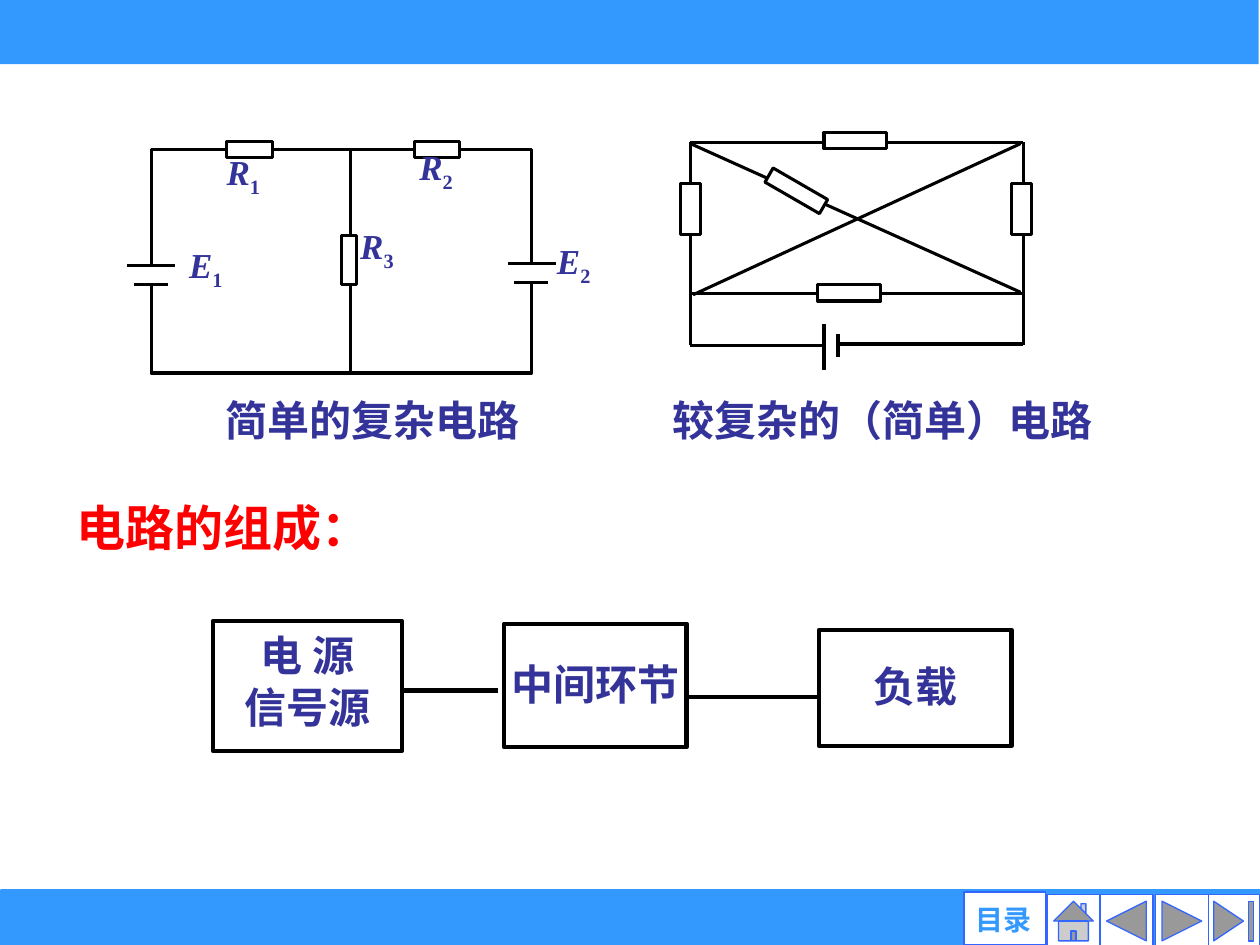
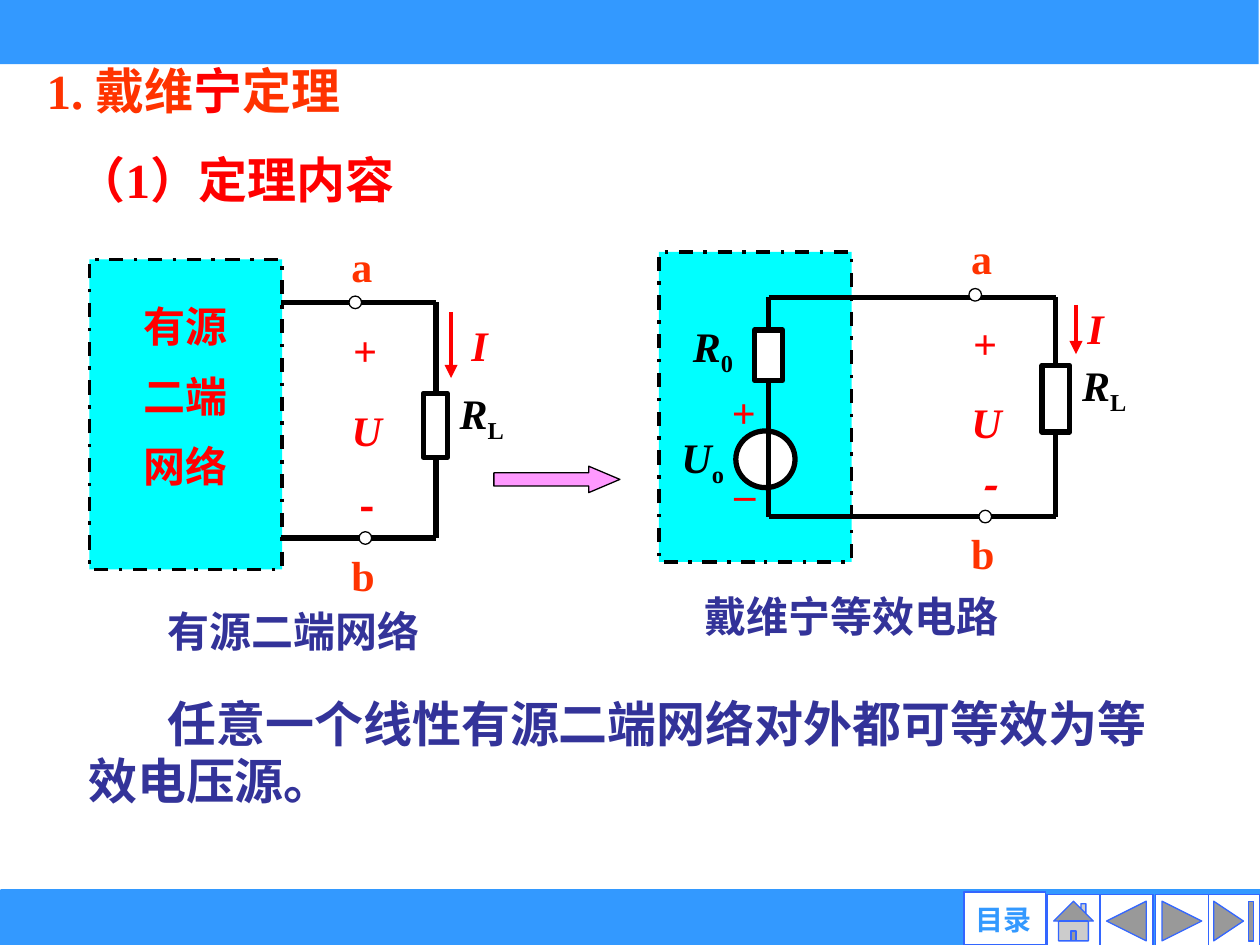
from dataclasses import dataclass

from lxml import etree
from pptx import Presentation
from pptx import util as u
from pptx.dml.color import RGBColor
from pptx.enum import dml, shapes, text
from pptx.oxml.ns import qn

PX = 9144
NAVY, RED, ORANGE = "333399", "FF0000", "FF3300"
BLUE, BUTTON_BLUE, CYAN, PINK = "3399FF", "3366FF", "00FFFF", "FF99FF"
BLACK, WHITE = "000000", "FFFFFF"
SERIF, SANS = "Times New Roman", "Noto Sans CJK SC"
KIND = shapes.MSO_SHAPE
LEFT, CENTER = text.PP_ALIGN.LEFT, text.PP_ALIGN.CENTER
TOP, MIDDLE = text.MSO_ANCHOR.TOP, text.MSO_ANCHOR.MIDDLE


def px(length):
    """Turn px (100 to the inch) into EMU."""
    return u.Emu(length * PX)


def color(value):
    """Turn a hex string into a colour."""
    return RGBColor.from_string(value)


def format_run(run, size, ink, font=SERIF, italic=False, subscript=False):
    """Give a run its bold style and fonts."""
    run.font.size, run.font.bold, run.font.italic = u.Pt(size), True, italic
    run.font.name = font
    run.font.color.rgb = color(ink)
    properties = run._r.get_or_add_rPr()
    if subscript:
        properties.set("baseline", "-25000")
    etree.SubElement(properties, qn("a:ea")).set("typeface", SANS)


def write(shape, content, size, ink, font=SERIF, italic=False, subscript="",
          align=LEFT, anchor=TOP, inset=(10, 5, 10, 5), leading=1.18):
    """Write text into a shape, one paragraph a line."""
    frame = shape.text_frame
    frame.text = content
    frame.word_wrap = True
    frame.auto_size = text.MSO_AUTO_SIZE.NONE
    frame.vertical_anchor = anchor
    frame.margin_left, frame.margin_top, frame.margin_right, frame.margin_bottom = map(px, inset)
    for paragraph in frame.paragraphs:
        paragraph.alignment = align
        paragraph.space_before = u.Pt(0)
        paragraph.line_spacing = u.Pt(round(size * leading))
        for run in paragraph.runs:
            format_run(run, size, ink, font, italic)
    if subscript:
        run = frame.paragraphs[0].add_run()
        run.text = subscript
        format_run(run, size, ink, font, subscript=True)


def move(shape, left, top, width, height):
    """Place a shape by its px box."""
    shape.left, shape.top, shape.width, shape.height = map(px, (left, top, width, height))


@dataclass
class Region:
    """A part of a slide with its own origin in px."""

    slide: object
    left: int = 0
    top: int = 0

    def place(self, left, top):
        """Return a point in EMU on the slide."""
        return px(self.left + left), px(self.top + top)

    def shape(self, box, kind=KIND.RECTANGLE, fill=WHITE, line=BLACK, weight=1.75):
        """Add a preset shape; no fill or line where None is given."""
        left, top, width, height = box
        shape = self.slide.shapes.add_shape(kind, *self.place(left, top), px(width), px(height))
        return finish(shape, fill, line, weight)

    def line(self, x1, y1, x2, y2, weight=1.75, ink=BLACK, arrow=False):
        """Add a straight line, with an arrowhead at its end if asked."""
        line = self.slide.shapes.add_connector(
            shapes.MSO_CONNECTOR.STRAIGHT, *self.place(x1, y1), *self.place(x2, y2))
        line.line.color.rgb = color(ink)
        line.line.width = u.Pt(weight)
        properties = line.element.spPr
        if arrow:
            etree.SubElement(properties.find(qn("a:ln")), qn("a:tailEnd")).set("type", "triangle")
        etree.SubElement(properties, qn("a:effectLst"))

    def wire(self, start, *points):
        """Add an open bent wire."""
        builder = self.slide.shapes.build_freeform(
            self.left + start[0], self.top + start[1], scale=PX)
        builder.add_line_segments(
            [(self.left + x, self.top + y) for x, y in points], close=False)
        finish(builder.convert_to_shape(), None, BLACK, 1.75)

    def label(self, content, box, size=24, ink=RED, **style):
        """Add a text box."""
        left, top, width, height = box
        shape = self.slide.shapes.add_textbox(*self.place(left, top), px(width), px(height))
        write(shape, content, size, ink, **style)


def finish(shape, fill, line, weight):
    """Set fill and line of a shape and drop its shadow."""
    shape.shadow.inherit = False
    if fill:
        shape.fill.solid()
        shape.fill.fore_color.rgb = color(fill)
    else:
        shape.fill.background()
    if line:
        shape.line.color.rgb = color(line)
        shape.line.width = u.Pt(weight)
    else:
        shape.line.fill.background()
    return shape


def build_master(presentation, slide):
    """Draw the bands and buttons and move them to the slide master."""
    page = Region(slide)
    known = len(slide.shapes)
    page.shape((1, 708, 999, 42), fill=BLUE, line=BLUE, weight=3)
    buttons = ((958, KIND.ACTION_BUTTON_END), (917, KIND.ACTION_BUTTON_FORWARD_OR_NEXT),
               (873, KIND.ACTION_BUTTON_BACK_OR_PREVIOUS), (831, KIND.ACTION_BUTTON_HOME))
    for left, kind in buttons:
        page.shape((left, 710, 42, 42), kind, line=BUTTON_BLUE, weight=0.75)
    page.shape((765, 708, 65, 42), KIND.ACTION_BUTTON_CUSTOM, line=BUTTON_BLUE, weight=0.75)
    page.label("目录", (765, 716, 63, 27), 16, BLUE, font="Arial", align=CENTER,
               anchor=MIDDLE, inset=(0, 0, 0, 0))
    page.shape((0, 0, 999, 51), fill=BLUE, line=None)
    for number, shape in enumerate(list(slide.shapes)[known:], 100):
        shape.element.xpath(".//p:cNvPr")[0].set("id", str(number))
        presentation.slide_master.shapes.element.append(shape.element)


def simple_circuit(region):
    """Draw two sources and three resistors in two loops."""
    region.wire((20, 111), (20, 19), (322, 19), (322, 109))
    region.wire((20, 126), (20, 196), (322, 196), (322, 124))
    region.line(178, 19, 178, 196)
    for resistor in ((80, 12, 36, 13), (229, 12, 36, 13), (171, 87, 12, 39)):
        region.shape(resistor)
    for x, y in ((20, 111), (322, 109)):
        region.line(x - 19, y, x + 19, y)
        region.line(x - 14, y + 15, x + 13, y + 15)
    for number, left, top in (("1", 70, 19), ("2", 223, 15), ("3", 176, 78)):
        region.label("R", (left, top, 57, 53), 20, NAVY, italic=True, subscript=number)
    for number, left, top in (("1", 50, 98), ("2", 342, 95)):
        region.label("E", (left, top, 42, 40), 20, NAVY, italic=True, subscript=number,
                     inset=(0, 0, 0, 0))
    region.label("简单的复杂电路", (69, 209, 270, 50), 24, NAVY, font=SANS, anchor=MIDDLE)


def bridge_circuit(region):
    """Draw the crossed resistor network with its cell."""
    wires = ((270, 14, 10, 134), (8, 14, 270, 132), (272, 13, 272, 174), (8, 13, 8, 174),
             (8, 133, 272, 133), (8, 13, 272, 13), (8, 174, 113, 174), (125, 173, 272, 173))
    for wire in wires:
        region.line(*wire)
    for resistor in ((0, 46, 16, 40), (263, 46, 16, 40), (114, 5, 50, 13), (109, 126, 50, 13)):
        region.shape(resistor)
    region.shape((67, 45, 50, 13)).rotation = 30
    region.line(114, 157, 114, 194, 2)
    region.line(125, 165, 125, 183, 2)
    region.label("较复杂的（简单）电路", (-16, 209, 360, 50), 24, NAVY, font=SANS, anchor=MIDDLE)


def block_diagram(region):
    """Draw the three linked blocks a circuit is made of."""
    blocks = (("电 源\n信号源", (9, 3, 150, 103), 10), ("中间环节", (240, 5, 145, 98), 5),
              ("负载", (490, 10, 153, 92), 5))
    for content, box, bottom in blocks:
        write(region.shape(box, fill=None, weight=2.5), content, 24, NAVY, font=SANS,
              align=CENTER, anchor=MIDDLE, inset=(0, 0, 0, bottom), leading=1.25)
    region.line(161, 58, 235, 58, 2.5)
    region.line(384, 63, 492, 63, 2.5)


def network_box(region):
    """Draw the dash-dotted cyan box of a network."""
    box = region.shape((0, 0, 153, 246), fill=CYAN, weight=2)
    box.line.dash_style = dml.MSO_LINE.DASH_DOT
    return box


def load_loop(region, start, wire_top, bottom, resistor, arrow_x, arrow_end, current, slanted):
    """Draw the load side, from terminals a and b to the resistor."""
    left, top, width, height = resistor
    region.line(start, wire_top, 77, wire_top, 3)
    region.line(start, bottom, 77, bottom, 3)
    region.line(77, wire_top, 77, bottom, 3)
    region.shape(resistor, weight=3)
    region.label("R", (left + width, top - 3, 80, 50), ink=BLACK, italic=True, subscript="L")
    for terminal in ((8, 48, 10, 10), (16, bottom - 5, 10, 10)):
        region.shape(terminal, KIND.OVAL, weight=0.75)
    region.label("a", (0, 0, 37, 50), ink=ORANGE)
    region.label("b", (0, bottom + 5, 49, 50), ink=ORANGE)
    region.label("+", (1, 67, 39, 50), italic=True, align=CENTER)
    region.label("U", (0, 130, 44, 50), italic=True, align=CENTER)
    region.label("-", (4, bottom - 50, 37, 50), font=SANS, italic=slanted, align=CENTER)
    region.line(arrow_x, 61, arrow_x, arrow_end, 2.5, RED, arrow=True)
    region.label("I", (*current, 33, 50), italic=True, align=CENTER)


def active_network(region):
    """Draw the active two-terminal network with its load."""
    write(network_box(region), "有源\n二端\n网络", 24, RED, align=CENTER, anchor=MIDDLE,
          inset=(10, 5, 10, 51), leading=1.68)
    load_loop(Region(region.slide, region.left + 198, region.top - 19), -46, 53, 240,
              (67, 125, 19, 51), 89, 113, (95, 63), False)
    region.label("有源二端网络", (27, 271, 270, 50), 24, NAVY, align=CENTER)


def equivalent_circuit(region):
    """Draw the equivalent source with its load."""
    network_box(region)
    region.shape((61, 142, 47, 45), KIND.OVAL, weight=3)
    load_loop(Region(region.slide, region.left + 238, region.top - 19), -151, 55, 229,
              (66, 109, 22, 53), 93, 100, (92, 55), True)
    region.line(87, 36, 87, 210, 3)
    region.shape((76, 62, 22, 40), weight=3)
    region.label("U", (8, 144, 72, 50), ink=BLACK, italic=True, subscript="o")
    region.label("R", (17, 56, 78, 50), ink=BLACK, italic=True, subscript="0")
    region.label("+", (48, 103, 39, 50))
    region.label("_", (50, 156, 37, 50))
    region.label("戴维宁等效电路", (8, 265, 290, 50), 24, NAVY, align=CENTER)


def build_composition(slide):
    """Fill the slide on what a circuit is made of."""
    title = slide.shapes.title
    move(title, 51, 391, 384, 57)
    write(title, "电路的组成：", 28, RED, font=SANS)
    simple_circuit(Region(slide, 100, 100))
    bridge_circuit(Region(slide, 540, 100))
    block_diagram(Region(slide, 160, 490))


def build_theorem(slide):
    """Fill the slide on the theorem and its equivalent circuit."""
    title, body = slide.shapes.title, slide.placeholders[1]
    move(title, 27, 44, 453, 57)
    write(title, "1. 戴维", 28, ORANGE)
    for part, ink in (("宁", RED), ("定理", ORANGE)):
        run = title.text_frame.paragraphs[0].add_run()
        run.text = part
        format_run(run, 28, ink)
    move(body, 60, 546, 871, 103)
    write(body, "任意一个线性有源二端网络对外都可等效为等效电压源。", 28, NAVY)
    properties = body.text_frame.paragraphs[0]._p.get_or_add_pPr()
    properties.set("marL", "0")
    properties.set("indent", str(px(63)))
    etree.SubElement(properties, qn("a:buNone"))

    page = Region(slide)
    page.label("（1）定理内容", (51, 115, 292, 57), 28)
    arrow = page.shape((392, 370, 100, 21), KIND.RIGHT_ARROW, PINK, weight=0.75)
    arrow.adjustments[0], arrow.adjustments[1] = 0.5, 1.18
    active_network(Region(slide, 71, 206))
    equivalent_circuit(Region(slide, 523, 200))


def main():
    """Build both slides and save them."""
    presentation = Presentation()
    presentation.slide_width, presentation.slide_height = px(1000), px(750)
    layouts = presentation.slide_layouts
    composition = presentation.slides.add_slide(layouts.get_by_name("Title Only"))
    theorem = presentation.slides.add_slide(layouts.get_by_name("Title and Content"))
    build_master(presentation, composition)
    build_composition(composition)
    build_theorem(theorem)
    presentation.save("out.pptx")


if __name__ == "__main__":
    main()
